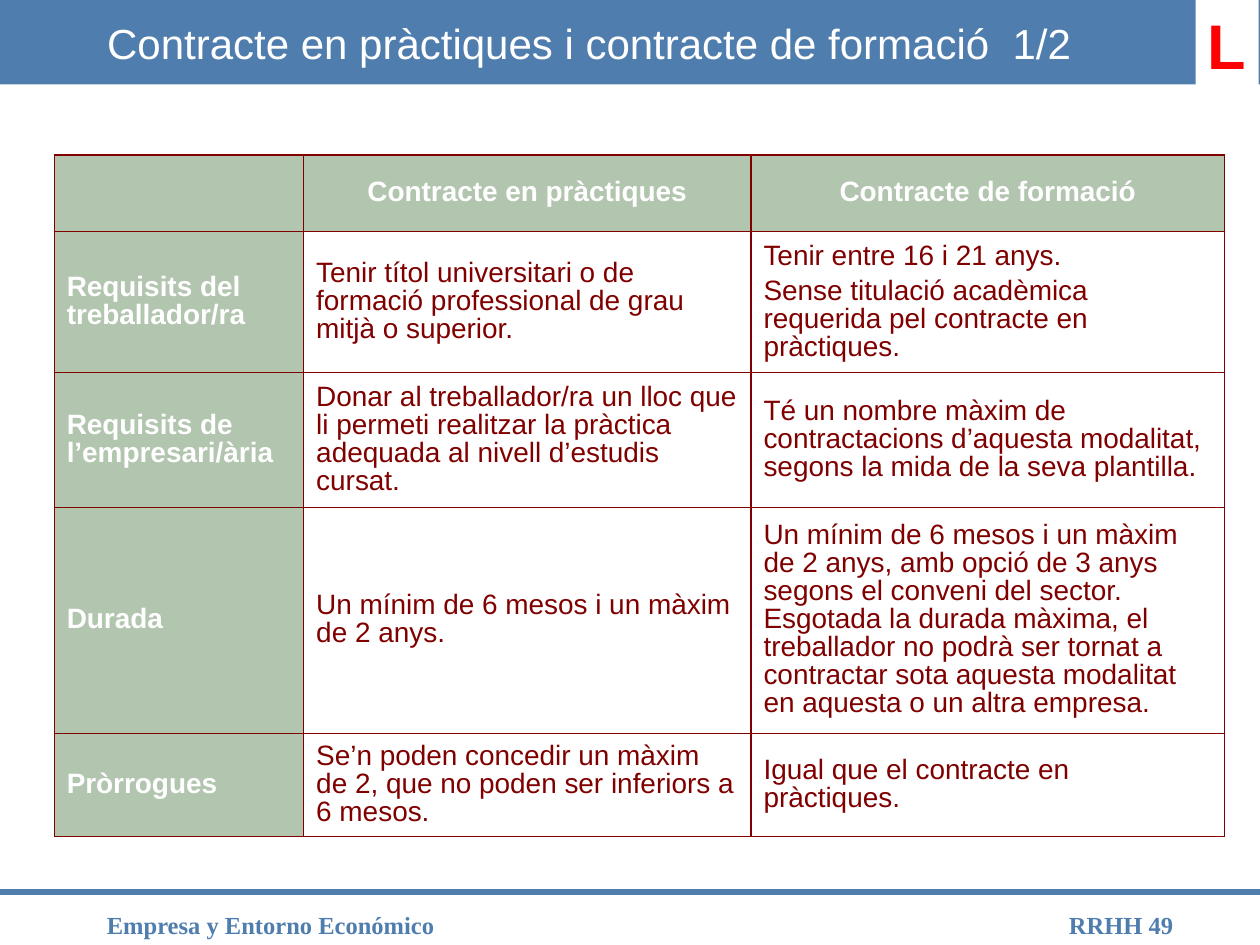
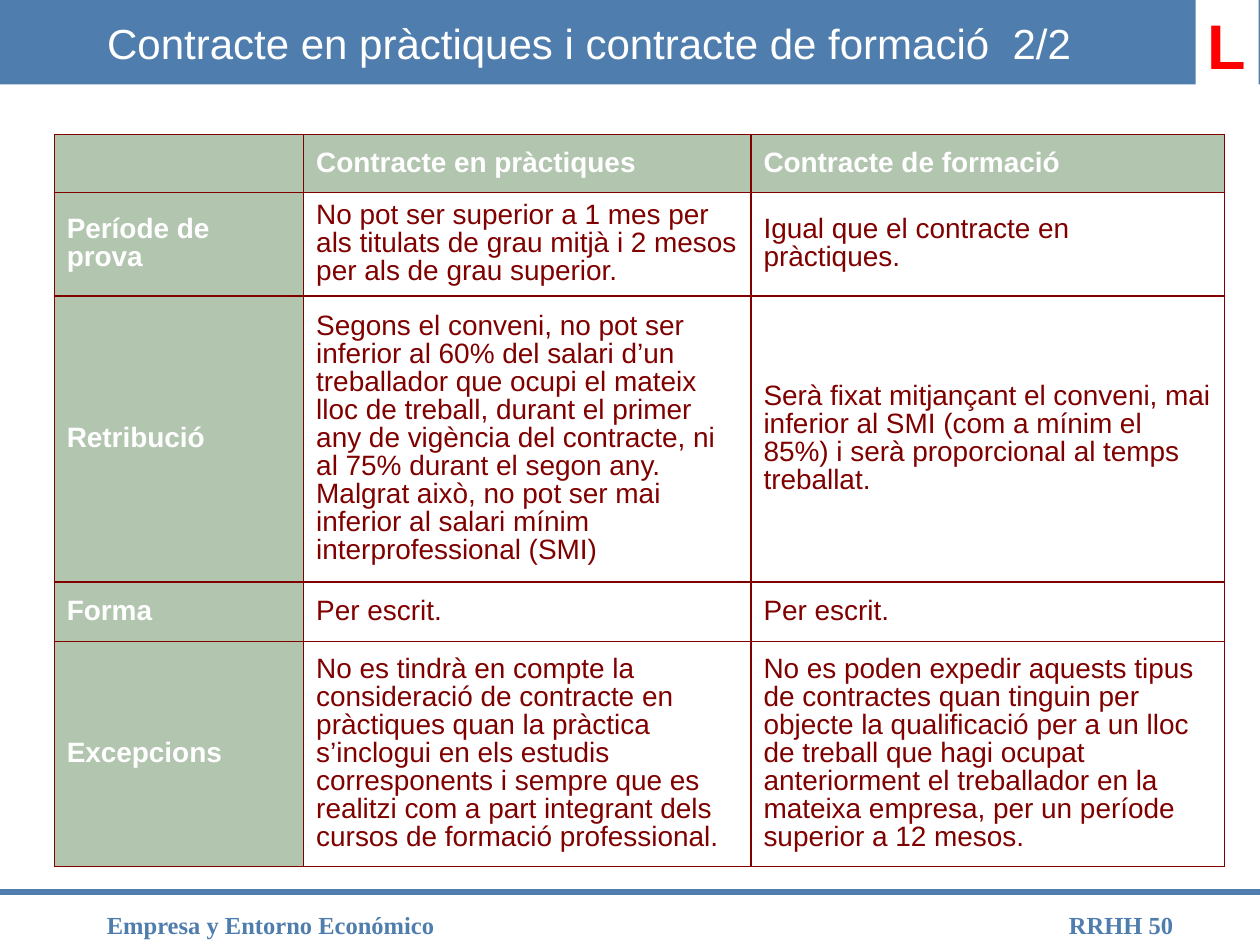
"""Build two slides that compare the internship and training contracts."""
from dataclasses import dataclass
from typing import Optional

from lxml.etree import SubElement
from pptx import Presentation
from pptx.dml.color import RGBColor
from pptx.enum.shapes import MSO_CONNECTOR, MSO_SHAPE
from pptx.enum.text import MSO_ANCHOR, MSO_AUTO_SIZE, PP_ALIGN
from pptx.oxml.ns import qn
from pptx.presentation import Presentation as Deck
from pptx.slide import Slide
from pptx.table import _Cell as Cell
from pptx.text.text import TextFrame
from pptx.util import Inches, Pt

COLOURS = {
    "blue": "4F7DAE",
    "green": "B2C5AF",
    "maroon": "800000",
    "red": "FF0000",
    "white": "FFFFFF",
}
SLIDE_WIDTH, SLIDE_HEIGHT = 10, 7.5
BAND_HEIGHT = 0.67
FOOTER_TOP, FOOTER_HEIGHT = 7.17, 0.25
TEXT_LEFT = 0.75
TABLE_LEFT = 0.43
COLUMN_WIDTHS = (1.98, 3.55, 3.76)
HEADER = ("", "Contracte en pràctiques", "Contracte de formació")
BORDER_WIDTH = Pt(0.74)


@dataclass(frozen=True)
class Comparison:
    """One slide's sequence mark, page number and table; a newline splits paragraphs."""

    sequence: str
    number: int
    top: float
    header_align: PP_ALIGN
    row_heights: tuple[float, ...]
    rows: tuple[tuple[str, str, str], ...]


COMPARISONS = (
    Comparison(
        sequence="1/2",
        number=49,
        top=1.23,
        header_align=PP_ALIGN.CENTER,
        row_heights=(0.61, 1.12, 1.07, 1.79, 0.82),
        rows=(
            (
                "Requisits del treballador/ra",
                "Tenir títol universitari o de formació professional de grau "
                "mitjà o superior.",
                "Tenir entre 16 i 21 anys.\n"
                "Sense titulació acadèmica requerida pel contracte en pràctiques.",
            ),
            (
                "Requisits de l’empresari/ària",
                "Donar al treballador/ra un lloc que li permeti realitzar la "
                "pràctica adequada al nivell d’estudis cursat.",
                "Té un nombre màxim de contractacions d’aquesta modalitat, "
                "segons la mida de la seva plantilla.",
            ),
            (
                "Durada",
                "Un mínim de 6 mesos i un màxim de 2 anys.",
                "Un mínim de 6 mesos i un màxim de 2 anys, amb opció de 3 anys "
                "segons el conveni del sector. Esgotada la durada màxima, el "
                "treballador no podrà ser tornat a contractar sota aquesta "
                "modalitat en aquesta o un altra empresa.",
            ),
            (
                "Pròrrogues",
                "Se’n poden concedir un màxim de 2, que no poden ser inferiors "
                "a 6 mesos.",
                "Igual que el contracte en pràctiques.",
            ),
        ),
    ),
    Comparison(
        sequence="2/2",
        number=50,
        top=1.07,
        header_align=PP_ALIGN.LEFT,
        row_heights=(0.46, 0.82, 2.27, 0.47, 1.79),
        rows=(
            (
                "Període de prova",
                "No pot ser superior a 1 mes per als titulats de grau mitjà i "
                "2 mesos per als de grau superior.",
                "Igual que el contracte en pràctiques.",
            ),
            (
                "Retribució",
                "Segons el conveni, no pot ser inferior al 60% del salari d’un "
                "treballador que ocupi el mateix lloc de treball, durant el "
                "primer any de vigència del contracte, ni al 75% durant el "
                "segon any. Malgrat això, no pot ser mai inferior al salari "
                "mínim interprofessional (SMI)",
                "Serà fixat mitjançant el conveni, mai inferior al SMI (com a "
                "mínim el 85%) i serà proporcional al temps treballat.",
            ),
            ("Forma", "Per escrit.", "Per escrit."),
            (
                "Excepcions",
                "No es tindrà en compte la consideració de contracte en "
                "pràctiques quan la pràctica s’inclogui en els estudis "
                "corresponents i sempre que es realitzi com a part integrant "
                "dels cursos de formació professional.",
                "No es poden expedir aquests tipus de contractes quan tinguin "
                "per objecte la qualificació per a un lloc de treball que hagi "
                "ocupat anteriorment el treballador en la mateixa empresa, per "
                "un període superior a 12 mesos.",
            ),
        ),
    ),
)


def colour(name: str) -> RGBColor:
    """Return the named palette colour."""
    return RGBColor.from_string(COLOURS[name])


def write(
    frame: TextFrame,
    text: str,
    *,
    size: float,
    ink: str,
    font: str = "Arial",
    bold: bool = False,
    align: PP_ALIGN = PP_ALIGN.LEFT,
    anchor: MSO_ANCHOR = MSO_ANCHOR.TOP,
    wrap: bool = True,
    line_spacing: Optional[float] = None,
    space_before: float = 0,
) -> None:
    """Fill a text frame with formatted paragraphs."""
    frame.word_wrap = wrap
    frame.vertical_anchor = anchor
    for index, line in enumerate(text.split("\n")):
        paragraph = frame.add_paragraph() if index else frame.paragraphs[0]
        paragraph.alignment = align
        paragraph.line_spacing = line_spacing
        paragraph.space_before = Pt(space_before)
        span = paragraph.add_run()
        span.text = line
        span.font.name = font
        span.font.size = Pt(size)
        span.font.bold = bold
        span.font.color.rgb = colour(ink)


def add_block(
    page: Slide, left: float, width: float, height: float, fill: str
) -> TextFrame:
    """Draw a plain rectangle at the top edge and return its text frame."""
    block = page.shapes.add_shape(
        MSO_SHAPE.RECTANGLE, Inches(left), 0, Inches(width), Inches(height)
    )
    block.shadow.inherit = False
    block.fill.solid()
    block.fill.fore_color.rgb = colour(fill)
    block.line.fill.background()
    return block.text_frame


def add_footer(
    page: Slide, text: str, left: float, width: float, align: PP_ALIGN
) -> None:
    """Write one footer text."""
    box = page.shapes.add_textbox(
        Inches(left), Inches(FOOTER_TOP), Inches(width), Inches(FOOTER_HEIGHT)
    )
    write(box.text_frame, text, size=14, ink="blue", font="Times New Roman",
          bold=True, align=align)


def add_frame(page: Slide, number: int) -> None:
    """Draw the band, footer rule and footers that every slide shares."""
    add_block(page, 0, SLIDE_WIDTH, BAND_HEIGHT, "blue")
    rule = page.shapes.add_connector(
        MSO_CONNECTOR.STRAIGHT, 0, Inches(7.08), Inches(SLIDE_WIDTH), Inches(7.08)
    )
    rule.line.color.rgb = colour("blue")
    rule.line.width = Pt(3)
    SubElement(rule.element.spPr, qn("a:effectLst"))
    add_footer(page, f"RRHH {number}", 7.99, 1.42, PP_ALIGN.RIGHT)
    add_footer(page, "Empresa y Entorno Económico", TEXT_LEFT, 4.67, PP_ALIGN.LEFT)


def add_borders(cell: Cell) -> None:
    """Give a cell a thin maroon line on all four sides."""
    properties = cell._tc.get_or_add_tcPr()
    for side in ("lnL", "lnR", "lnT", "lnB"):
        line = SubElement(properties, qn(f"a:{side}"), w=str(BORDER_WIDTH))
        fill = SubElement(line, qn("a:solidFill"))
        SubElement(fill, qn("a:srgbClr"), val=COLOURS["maroon"])


def add_comparison(page: Slide, comparison: Comparison) -> None:
    """Draw the table with a green header row and label column."""
    rows = (HEADER, *comparison.rows)
    table = page.shapes.add_table(
        len(rows), len(HEADER), Inches(TABLE_LEFT), Inches(comparison.top),
        Inches(sum(COLUMN_WIDTHS)), Inches(sum(comparison.row_heights)),
    ).table
    table.first_row = table.horz_banding = False
    for column, width in zip(table.columns, COLUMN_WIDTHS):
        column.width = Inches(width)
    for row, height in zip(table.rows, comparison.row_heights):
        row.height = Inches(height)
    for row_index, texts in enumerate(rows):
        for column_index, text in enumerate(texts):
            cell = table.cell(row_index, column_index)
            is_heading = row_index == 0 or column_index == 0
            add_borders(cell)
            if is_heading:
                cell.fill.solid()
                cell.fill.fore_color.rgb = colour("green")
            else:
                cell.fill.background()
            cell.vertical_anchor = MSO_ANCHOR.MIDDLE
            if text:
                write(
                    cell.text_frame, text, size=16, bold=is_heading,
                    ink="white" if is_heading else "maroon",
                    align=PP_ALIGN.LEFT if row_index else comparison.header_align,
                    anchor=MSO_ANCHOR.MIDDLE, line_spacing=0.9, space_before=4,
                )


def add_title(page: Slide, text: str) -> None:
    """Place the title placeholder in front of the band."""
    title = page.shapes.title
    title.left, title.top = Inches(TEXT_LEFT), 0
    title.width, title.height = Inches(8.5), Inches(BAND_HEIGHT)
    title.text_frame.auto_size = MSO_AUTO_SIZE.NONE
    write(title.text_frame, text, size=24, ink="white", anchor=MSO_ANCHOR.MIDDLE)
    title.element.getparent().append(title.element)


def add_page(deck: Deck, comparison: Comparison) -> None:
    """Add one complete comparison slide."""
    page = deck.slides.add_slide(deck.slide_layouts.get_by_name("Title Only"))
    add_frame(page, comparison.number)
    add_comparison(page, comparison)
    badge = add_block(page, 9.49, 0.5, 0.7, "white")
    write(badge, "L", size=36, ink="red", bold=True, align=PP_ALIGN.CENTER, wrap=False)
    add_title(
        page, f"Contracte en pràctiques i contracte de formació  {comparison.sequence}"
    )


def main() -> None:
    """Build and save the deck."""
    deck = Presentation()
    deck.slide_width, deck.slide_height = Inches(SLIDE_WIDTH), Inches(SLIDE_HEIGHT)
    for comparison in COMPARISONS:
        add_page(deck, comparison)
    deck.save("out.pptx")


main()
